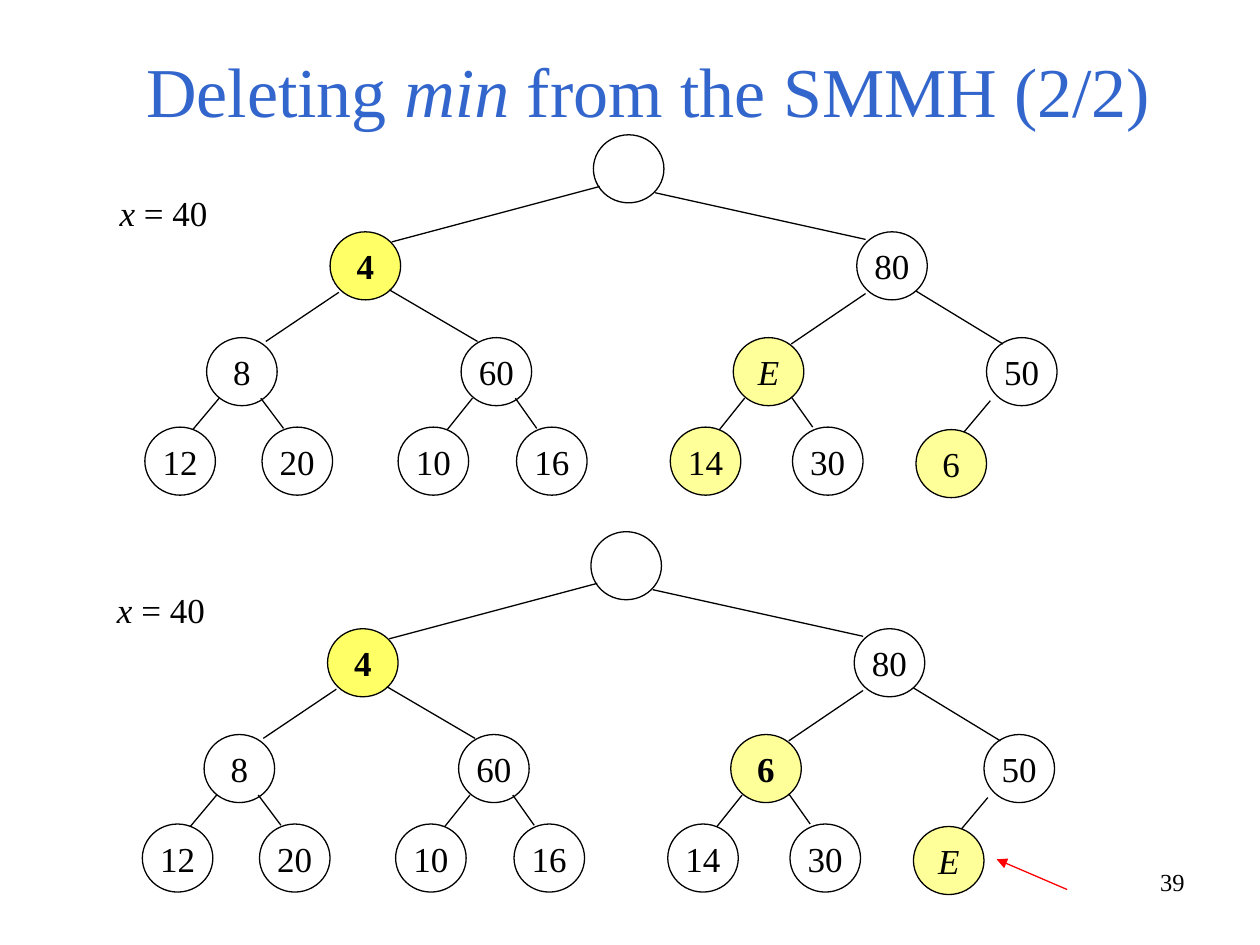
from lxml import etree
from pptx import Presentation
from pptx.dml.color import RGBColor
from pptx.enum.shapes import MSO_CONNECTOR, MSO_SHAPE
from pptx.enum.text import MSO_ANCHOR, MSO_AUTO_SIZE, PP_ALIGN
from pptx.oxml.ns import qn
from pptx.util import Inches, Pt

OVAL = MSO_SHAPE.OVAL
LINE = MSO_CONNECTOR.STRAIGHT
LEFT, CENTER, RIGHT = PP_ALIGN.LEFT, PP_ALIGN.CENTER, PP_ALIGN.RIGHT
MIDDLE, BOTTOM = MSO_ANCHOR.MIDDLE, MSO_ANCHOR.BOTTOM
NO_FIT = MSO_AUTO_SIZE.NONE

FONT = "Times New Roman"
COLORS = {
    "ink": "000000",
    "title": "3366CC",
    "white": "FFFFFF",
    "pale": "FFFF99",
    "gold": "FFFF66",
    "red": "FF0000",
}
WIDE, TALL = 0.56, 0.54

NODES = {
    "root": (4.71, 1.07, "", None),
    "4": (2.62, 1.84, "4", "gold"),
    "80": (6.8, 1.84, "80", "white"),
    "8": (1.64, 2.68, "8", "white"),
    "60": (3.66, 2.68, "60", None),
    "hole": (5.82, 2.68, "E", "pale"),
    "50": (7.83, 2.68, "50", "white"),
    "12": (1.15, 3.39, "12", None),
    "20": (2.08, 3.39, "20", None),
    "10": (3.16, 3.39, "10", None),
    "16": (4.1, 3.39, "16", None),
    "14": (5.32, 3.39, "14", "pale"),
    "30": (6.29, 3.39, "30", None),
    "last": (7.27, 3.41, "6", "pale"),
}
EDGES = [
    (4.76, 1.48, 3.11, 1.92),
    (5.2, 1.53, 6.87, 1.9),
    (2.69, 2.32, 2.11, 2.71),
    (3.09, 2.3, 3.79, 2.71),
    (6.87, 2.33, 6.28, 2.73),
    (7.27, 2.31, 7.96, 2.73),
    (1.74, 3.16, 1.53, 3.41),
    (2.07, 3.16, 2.25, 3.4),
    (3.75, 3.16, 3.55, 3.41),
    (4.09, 3.16, 4.26, 3.4),
    (5.91, 3.16, 5.71, 3.41),
    (6.28, 3.15, 6.45, 3.39),
    (7.86, 3.18, 7.65, 3.43),
]
AFTER = {"hole": ("6", "pale"), "14": ("14", None), "last": ("E", "pale")}


def paint(name):
    return RGBColor.from_string(COLORS[name])


class Canvas:
    def __init__(self, slide):
        self.slide = slide
        self.shapes = slide.shapes

    def label(self, frame, parts, size, color="ink", align=LEFT):
        para = frame.paragraphs[0]
        para.alignment = align
        font = para.font
        font.name, font.size = FONT, Pt(size)
        font.color.rgb = paint(color)
        for text, slant in parts:
            run = para.add_run()
            run.text = text
            if slant:
                run.font.italic = True
        return para

    def title(self, parts, x, y, w, h):
        box = self.shapes.title
        box.left, box.top = Inches(x), Inches(y)
        box.width, box.height = Inches(w), Inches(h)
        frame = box.text_frame
        frame.auto_size = NO_FIT
        frame.vertical_anchor = BOTTOM
        self.label(frame, parts, 40, "title", CENTER)

    def text(self, parts, x, y, w, h, size, align=LEFT):
        box = self.shapes.add_textbox(Inches(x), Inches(y), Inches(w), Inches(h))
        box.text_frame.word_wrap = True
        self.label(box.text_frame, parts, size, align=align)

    def node(self, x, y, text, fill, bold):
        oval = self.shapes.add_shape(
            OVAL, Inches(x), Inches(y), Inches(WIDE), Inches(TALL))
        oval.shadow.inherit = False
        if fill:
            oval.fill.solid()
            oval.fill.fore_color.rgb = paint(fill)
        else:
            oval.fill.background()
        oval.line.color.rgb = paint("ink")
        oval.line.width = Pt(0.75)
        if text:
            frame = oval.text_frame
            frame.word_wrap = False
            frame.vertical_anchor = MIDDLE
            para = self.label(frame, [(text, False)], 20, align=CENTER)
            para.font.bold = bold
            para.font.italic = text == "E"

    def edge(self, x1, y1, x2, y2, color="ink", arrow=False):
        line = self.shapes.add_connector(
            LINE, Inches(x1), Inches(y1), Inches(x2), Inches(y2))
        line.line.color.rgb = paint(color)
        line.line.width = Pt(0.75)
        props = line._element.spPr
        if arrow:
            stroke = props.find(qn("a:ln"))
            etree.SubElement(stroke, qn("a:tailEnd"), type="triangle")
        etree.SubElement(props, qn("a:effectLst"))

    def tree(self, dx, dy, swaps, bold):
        for key, (x, y, text, fill) in NODES.items():
            text, fill = swaps.get(key, (text, fill))
            self.node(x + dx, y + dy, text, fill, key in bold)
        for x1, y1, x2, y2 in EDGES:
            self.edge(x1 + dx, y1 + dy, x2 + dx, y2 + dy)
        self.text([("x", True), (" = 40", False)],
                  0.85 + dx, 1.47 + dy, 1.02, 0.44, 20)


def main():
    deck = Presentation()
    deck.slide_width, deck.slide_height = Inches(10), Inches(7.5)
    page = Canvas(deck.slides.add_slide(deck.slide_layouts[5]))
    page.title([("Deleting ", False), ("min", True),
                (" from the SMMH (2/2)", False)], 0.75, 0.35, 8.79, 0.74)
    page.tree(0, 0, {}, {"4"})
    page.tree(-0.02, 3.15, AFTER, {"4", "hole"})
    page.edge(8.47, 7.06, 7.91, 6.82, "red", True)
    page.text([("39", False)], 7.17, 6.83, 2.33, 0.52, 14, RIGHT)
    deck.save("out.pptx")


if __name__ == "__main__":
    main()
